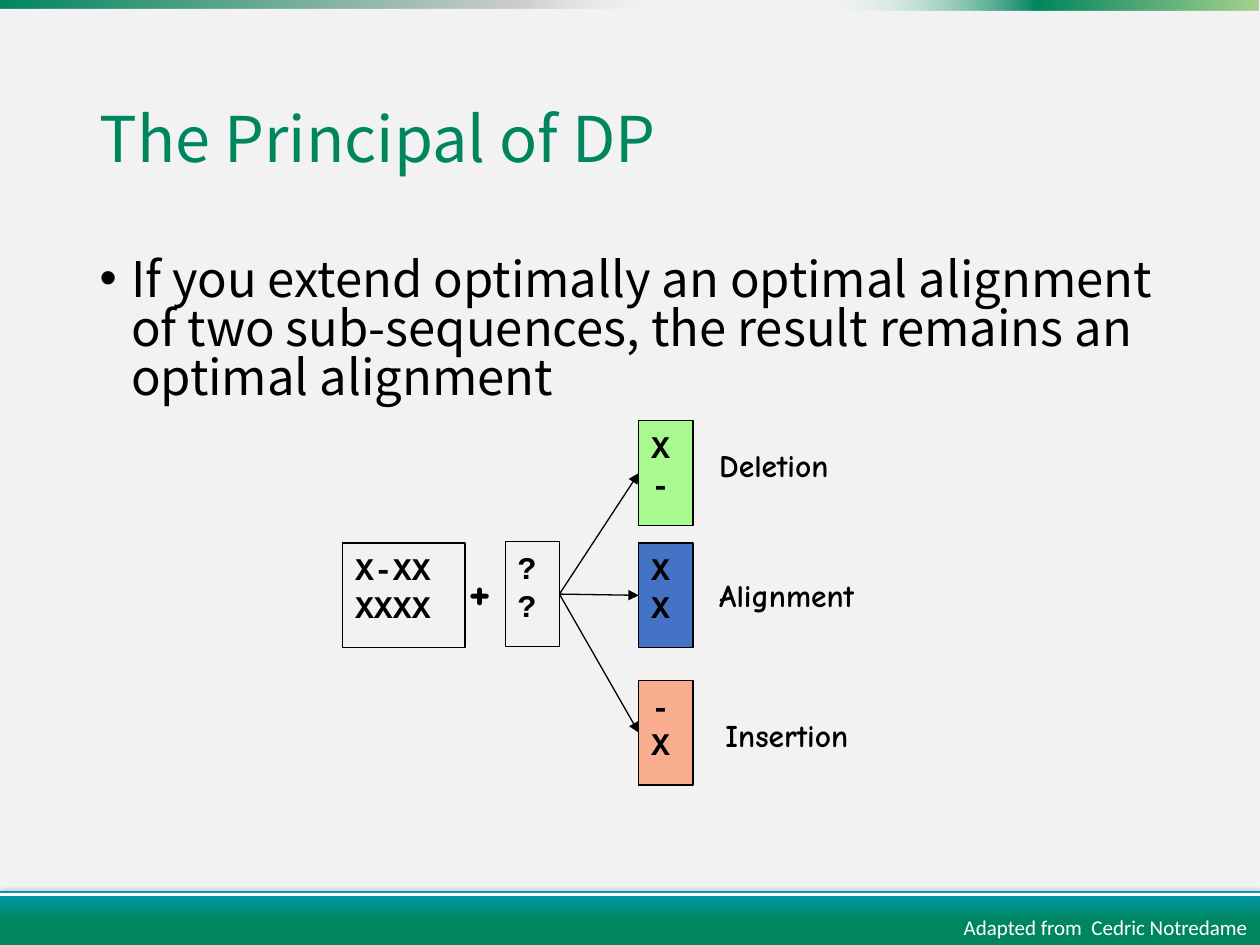
from dataclasses import dataclass
from lxml.etree import SubElement as Sub
from pptx import Presentation
from pptx.dml.color import RGBColor as RGB
from pptx.enum.shapes import MSO_CONNECTOR as LINK, MSO_SHAPE as SHAPE
from pptx.enum.text import MSO_ANCHOR as ANCHOR, MSO_AUTO_SIZE as FIT, PP_ALIGN as ALIGN
from pptx.oxml.ns import qn
from pptx.util import Inches, Pt


@dataclass(frozen=True)
class Theme:
    back: str = "F2F2F2"
    green: str = "00865F"
    teal: str = "009AB3"
    lime: str = "A9D18E"
    gray: str = "D0CECE"
    ink: str = "000000"
    white: str = "FFFFFF"
    sans: str = "Noto Sans CJK TC"
    mono: str = "Courier New"
    hand: str = "Comic Neue"
    foot: str = "Calibri"
    head: int = 36
    body: int = 28
    plus: int = 30
    mark: int = 18
    note: int = 12


T = Theme()
TITLE = "The Principal of DP"
BODY = ("If you extend optimally an optimal alignment of two sub-sequences, "
        "the result remains an optimal alignment")
CREDIT = "Adapted from  Cedric Notredame"
PAIR = ("X-XX", "XXXX")
QUERY = ("?", "?")
MOVES = [
    (("X", "-"), "A8F98F", 3.34, "Deletion", 5.61, 3.49),
    (("X", "X"), "4472C4", 4.31, "Alignment", 5.61, 4.52),
    (("-", "X"), "F9AD8F", 5.40, "Insertion", 5.66, 5.63),
]
BARS = [
    ((0, 7.07, 10, 0.47), 90, [(0, T.teal, 100), (50, T.green, 100), (100, T.green, 100)]),
    ((6.48, 0, 3.51, 0.08), 0, [(0, T.white, 0), (50, T.green, 100), (100, T.lime, 100)]),
    ((-0.02, -0.05, 5.56, 0.12), 0, [(0, T.green, 100), (75, T.gray, 100), (100, T.white, 0)]),
]
CELL, TALL, COL = 0.43, 0.83, 5.07

deck = Presentation()
deck.slide_width, deck.slide_height = Inches(10), Inches(7.5)
slide = deck.slides.add_slide(deck.slide_layouts[1])
slide.background.fill.solid()
slide.background.fill.fore_color.rgb = RGB.from_string(T.back)
shapes = slide.shapes


def write(shape, lines, size, face, color=T.ink, bold=False, align=ALIGN.LEFT,
          anchor=ANCHOR.TOP, wrap=True):
    frame = shape.text_frame
    frame.auto_size, frame.word_wrap, frame.vertical_anchor = FIT.NONE, wrap, anchor
    for i, line in enumerate(lines):
        para = frame.add_paragraph() if i else frame.paragraphs[0]
        para.alignment = align
        run = para.add_run()
        run.text = line
        font = run.font
        font.size, font.name, font.bold = Pt(size), face, bold
        font.color.rgb = RGB.from_string(color)
        props = run._r.get_or_add_rPr()
        Sub(props, qn("a:ea"), typeface=face)
    return frame.paragraphs[0]


def place(shape, box):
    shape.left, shape.top, shape.width, shape.height = map(Inches, box)
    return shape


def label(box, text, size, face, **style):
    write(shapes.add_textbox(*map(Inches, box)), [text], size, face, **style)


def rect(box):
    shape = shapes.add_shape(SHAPE.RECTANGLE, *map(Inches, box))
    shape.shadow.inherit = False
    return shape


def cell(box, lines, fill=None):
    shape = rect(box)
    if fill:
        shape.fill.solid()
        shape.fill.fore_color.rgb = RGB.from_string(fill)
    else:
        shape.fill.background()
    shape.line.color.rgb = RGB.from_string(T.ink)
    shape.line.width = Pt(0.75)
    write(shape, lines, T.mark, T.mono, bold=True)
    return shape


def tint(node, color, alpha):
    rgb = Sub(node, qn("a:srgbClr"), val=color)
    if alpha < 100:
        Sub(rgb, qn("a:alpha"), val=str(alpha * 1000))


def bar(box, angle, stops):
    shape = rect(box)
    shape.line.fill.background()
    shape.fill.gradient()
    grad = shape._element.spPr.find(qn("a:gradFill"))
    for kid in list(grad):
        grad.remove(kid)
    ramp = Sub(grad, qn("a:gsLst"))
    for spot, color, alpha in stops:
        tint(Sub(ramp, qn("a:gs"), pos=str(spot * 1000)), color, alpha)
    Sub(grad, qn("a:lin"), ang=str(angle * 60000), scaled="0")
    return shape


def link(start, end, color, width):
    line = shapes.add_connector(LINK.STRAIGHT, *map(Inches, start + end))
    line.line.color.rgb = RGB.from_string(color)
    line.line.width = Pt(width)
    Sub(line._element.spPr, qn("a:effectLst"))
    return line


title = place(shapes.title, (0.69, 0.4, 8.62, 1.45))
write(title, [TITLE], T.head, T.sans, T.green, anchor=ANCHOR.MIDDLE).line_spacing = 0.9

body = place(slide.placeholders[1], (0.69, 2, 8.62, 4.76))
props = body.text_frame.paragraphs[0]._p.get_or_add_pPr()
props.set("marL", str(Inches(0.25)))
props.set("indent", str(Inches(-0.25)))
Sub(props, qn("a:buFont"), typeface="Arial")
Sub(props, qn("a:buChar"), char="•")
para = write(body, [BODY], T.body, T.sans)
para.line_spacing, para.space_before = 0.83, Pt(0)

base, *tops = [bar(*item) for item in BARS]
glow = Sub(base._element.spPr.find(qn("a:effectLst")), qn("a:outerShdw"),
           blurRad=str(Pt(4.5)), dist=str(Pt(1.5)), dir="5400000", rotWithShape="0")
tint(glow, T.ink, 63)
link((0, 7.1), (10, 7.1), T.white, 1.5)

cell((2.72, 4.31, 0.97, TALL), PAIR)
label((3.62, 4.37, 0.31, 0.71), "+", T.plus, T.hand, bold=True)
query = cell((4.01, 4.3, CELL, TALL), QUERY)

for lines, fill, top, name, left, high in MOVES:
    move = cell((COL, top, CELL, TALL), lines, fill)
    arrow = link((0, 0), (1, 1), T.ink, 0.75)
    arrow.begin_connect(query, 3)
    arrow.end_connect(move, 1)
    Sub(arrow.line._get_or_add_ln(), qn("a:tailEnd"), type="triangle")
    label((left, high, 1.6, 0.48), name, T.mark, T.hand, bold=True)

label((7.49, 7.21, 2.51, 0.3), CREDIT, T.note, T.foot, color=T.white,
      align=ALIGN.RIGHT, wrap=False)

deck.save("out.pptx")
